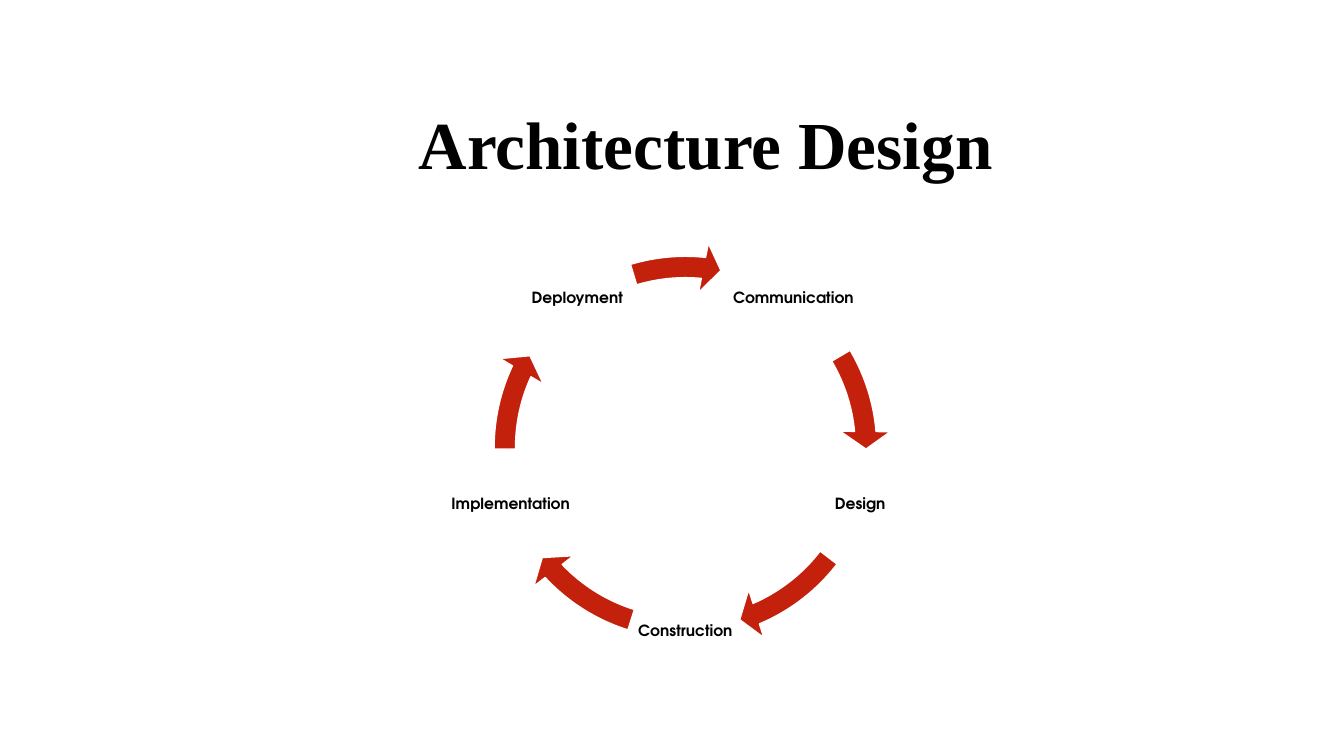
from math import cos, radians, sin
from pptx import Presentation
from pptx.dml.color import RGBColor
from pptx.enum.shapes import MSO_SHAPE
from pptx.enum.text import MSO_ANCHOR as ANCHOR, PP_ALIGN as ALIGN
from pptx.util import Inches, Pt

BLACK = RGBColor(0x00, 0x00, 0x00)
WHITE = RGBColor(0xFF, 0xFF, 0xFF)
RED = RGBColor(0xC4, 0x21, 0x0D)

prs = Presentation()
prs.slide_width, prs.slide_height = Inches(13.33), Inches(7.5)
col, row = prs.slide_width / 100, prs.slide_height / 100
s = prs.slides.add_slide(prs.slide_layouts[5])


def write(sp, text, font, size, frame, para):
    tf = sp.text_frame
    for key, value in frame.items():
        setattr(tf, key, value)
    p = tf.paragraphs[0]
    for key, value in para.items():
        setattr(p, key, value)
    r = p.add_run()
    r.text = text
    for key, value in dict(name=font, size=Pt(size), bold=True).items():
        setattr(r.font, key, value)
    r.font.color.rgb = BLACK


title = s.shapes.title
box = dict(left=30.4 * col, top=12.9 * row, width=58.6 * col, height=12.1 * row)
for key, value in box.items():
    setattr(title, key, int(value))
write(title, "Architecture Design", "Times New Roman", 48,
      dict(vertical_anchor=ANCHOR.TOP, word_wrap=True), dict(alignment=ALIGN.LEFT))

cx, cy = 51 * col, 59.2 * row
ring, radius = 54.4 * row, 24.3 * row
label_w, label_h = 22 * row, 14.5 * row
inset = Inches(0.02)
label_frame = dict(vertical_anchor=ANCHOR.MIDDLE, word_wrap=True,
                   margin_left=inset, margin_right=inset,
                   margin_top=inset, margin_bottom=inset)
label_para = dict(alignment=ALIGN.CENTER, line_spacing=0.9, space_after=Pt(4))

# Angles are in degrees, clockwise from three o'clock.
stages = [
    ("Communication", 329.43, 354.89),
    ("Design", 37.55, 66.91),
    ("Construction", 107.49, 136.85),
    ("Implementation", 179.51, 204.97),
    ("Deployment", 253.31, 275.73),
]
for i, (stage, start, end) in enumerate(stages):
    angle = radians(36 + 72 * i)
    x, y = cx + radius * sin(angle), cy - radius * cos(angle)
    sp = s.shapes.add_textbox(int(x - label_w / 2), int(y - label_h / 2),
                              int(label_w), int(label_h))
    write(sp, stage, "TeX Gyre Adventor", 11, label_frame, label_para)

    arrow = s.shapes.add_shape(MSO_SHAPE.CIRCULAR_ARROW, int(cx - ring / 2),
                               int(cy - ring / 2), int(ring), int(ring))
    for n, value in enumerate([5.2 / 100, 3.36, end * 0.6, start * 0.6, 6.1 / 100]):
        arrow.adjustments[n] = value
    arrow.shadow.inherit = False
    arrow.fill.solid()
    arrow.fill.fore_color.rgb = RED
    arrow.line.color.rgb = WHITE
    arrow.line.width = Pt(1)

prs.save("out.pptx")
